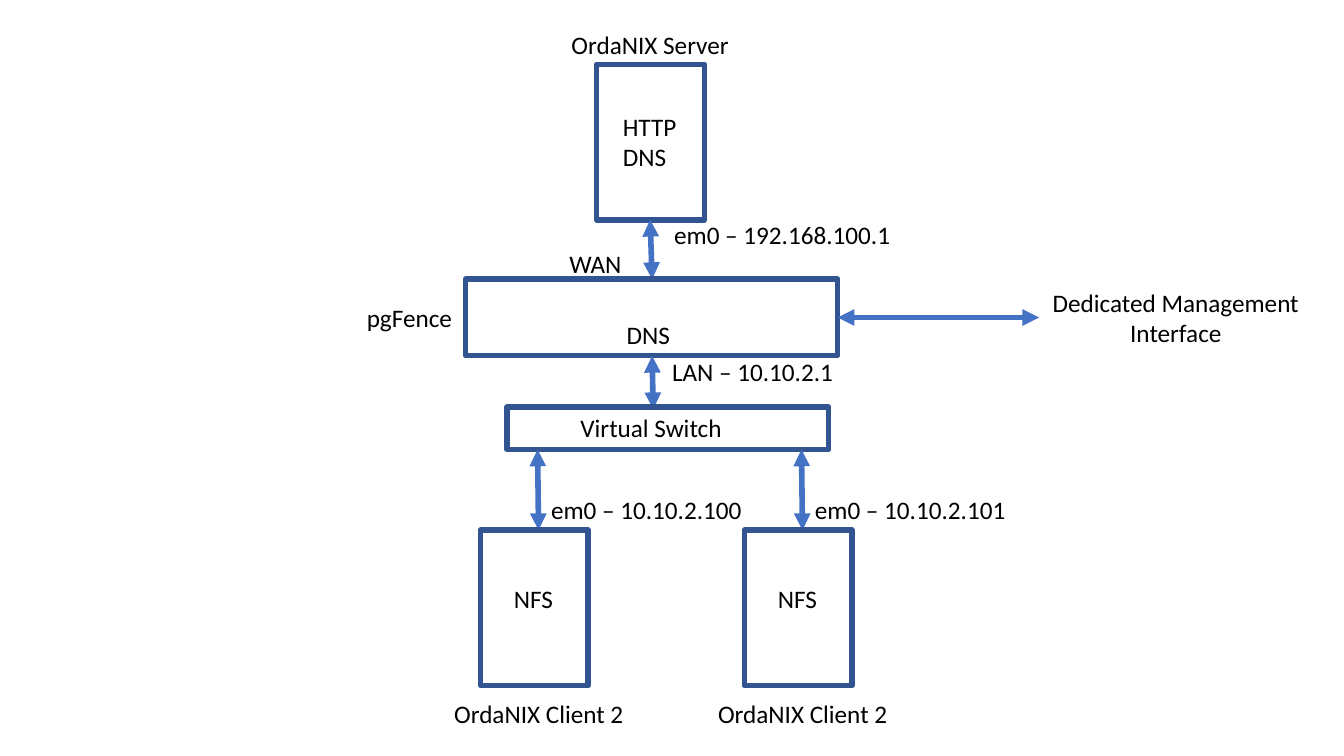
from dataclasses import dataclass

from lxml import etree
from pptx import Presentation
from pptx import util as u
from pptx.dml.color import RGBColor
from pptx.enum import shapes, text
from pptx.oxml import ns


@dataclass(frozen=True)
class Theme:
    ink: str = "000000"
    edge: str = "325491"
    link: str = "4472C4"
    font: str = "Calibri"
    size: float = 18
    line: float = 4


def write(frame, words, font, size, color, align):
    frame.text = words
    frame.word_wrap = False
    frame.auto_size = text.MSO_AUTO_SIZE.SHAPE_TO_FIT_TEXT
    for para in frame.paragraphs:
        para.alignment = align
        para.font.name = font
        para.font.size = u.Pt(size)
        para.font.color.rgb = RGBColor.from_string(color)


class Chart:
    def __init__(self, slide, theme):
        self.slide = slide
        self.theme = theme

    def stroke(self, line, color):
        line.color.rgb = RGBColor.from_string(color)
        line.width = u.Pt(self.theme.line)

    def box(self, *area):
        shape = self.slide.shapes.add_shape(
            shapes.MSO_SHAPE.RECTANGLE, *map(u.Pt, area))
        shape.shadow.inherit = False
        shape.fill.background()
        self.stroke(shape.line, self.theme.edge)

    def label(self, words, left, top, width, align=text.PP_ALIGN.LEFT):
        high = 29 + 22 * words.count("\n")
        shape = self.slide.shapes.add_textbox(
            *map(u.Pt, (left, top, width, high)))
        write(shape.text_frame, words, font=self.theme.font,
              size=self.theme.size, color=self.theme.ink, align=align)

    def arrow(self, *ends):
        link = self.slide.shapes.add_connector(
            shapes.MSO_CONNECTOR.STRAIGHT, *map(u.Pt, ends))
        self.stroke(link.line, self.theme.link)
        line = link.line._get_or_add_ln()
        for end in ("a:headEnd", "a:tailEnd"):
            etree.SubElement(line, ns.qn(end), type="triangle")
        etree.SubElement(link._element.spPr, ns.qn("a:effectLst"))


deck = Presentation()
deck.slide_width, deck.slide_height = u.Pt(960), u.Pt(540)
chart = Chart(deck.slides.add_slide(deck.slide_layouts[6]), Theme())

host = (77, 111)
step = 188.5

chart.box(426.2, 46.1, *host)
chart.label("OrdaNIX Server", 396.7, 17.3, 135.4, align=text.PP_ALIGN.CENTER)
chart.label("HTTP\nDNS", 437.8, 75.6, 53.3)
chart.arrow(464.4, 157, 465.8, 199.4)
chart.label("em0 – 192.168.100.1", 474.5, 153.4, 170.6)
chart.label("WAN", 399.6, 173.5, 51.8)

chart.box(332.6, 199.4, 265.7, 54.7)
chart.label("pgFence", 244, 212.4, 86, align=text.PP_ALIGN.RIGHT)
chart.label("DNS", 440.6, 224.6, 46.1)
chart.arrow(598.3, 226.8, 742.3, 226.8)
chart.label("Dedicated Management\nInterface", 743.8, 201.6, 192.2,
            align=text.PP_ALIGN.CENTER)

chart.arrow(465.8, 254.2, 466.6, 292.3)
chart.label("LAN – 10.10.2.1", 473, 251.3, 131)
chart.box(362.2, 290.9, 229.7, 30.2)
chart.label("Virtual Switch", 407.5, 290.9, 116.6)

for col, addr in enumerate(("10.10.2.100", "10.10.2.101")):
    shift = col * step
    chart.arrow(384 + shift, 321.1, 384.7 + shift, 378.7)
    chart.label(f"em0 – {addr}", 386.5 + shift, 349.2, 151.9)
    chart.box(343.2 + shift, 378.7, *host)
    chart.label("NFS", 360 + shift, 413.3, 42.5)
    chart.label("OrdaNIX Client 2", 312.5 + shift, 495.4, 144.7,
                align=text.PP_ALIGN.CENTER)

deck.save("out.pptx")
